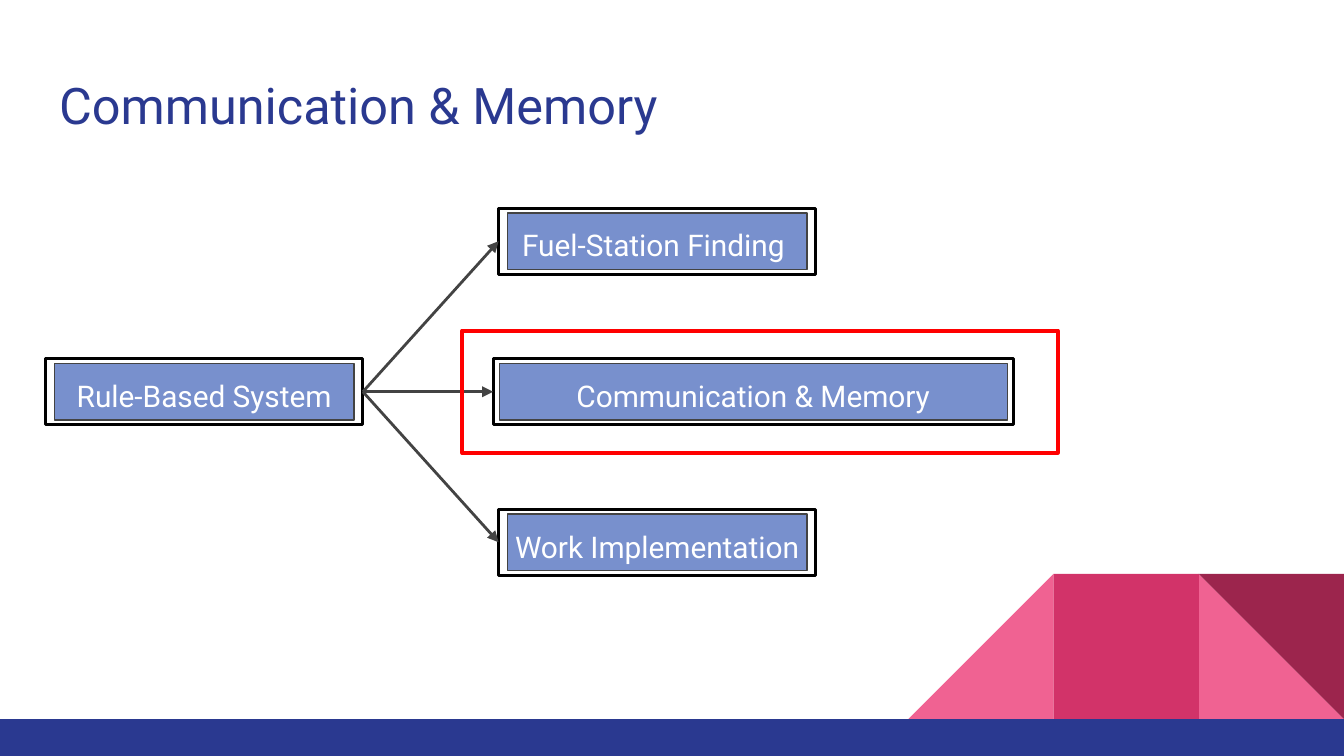
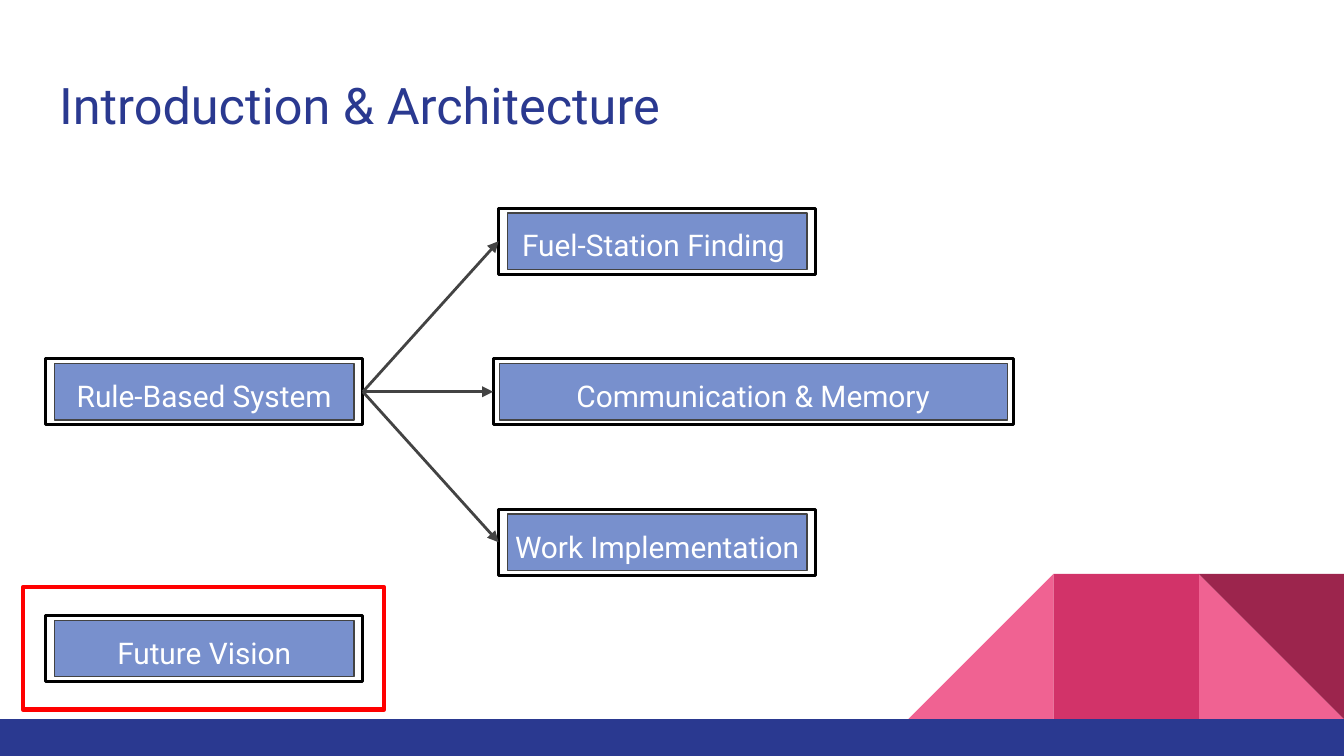
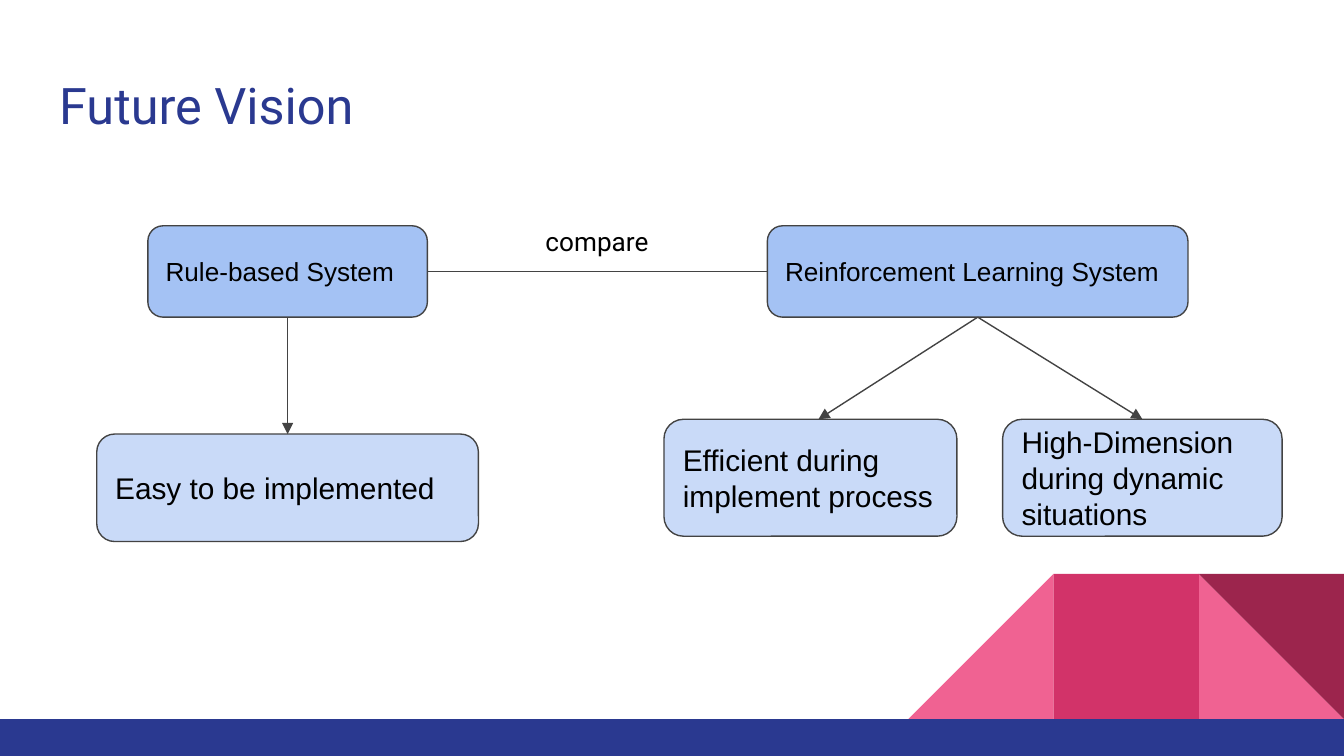
import dataclasses
import typing

import lxml.etree
import pptx
import pptx.dml.color
import pptx.enum.shapes
import pptx.enum.text
import pptx.oxml.ns
import pptx.util

Shape = pptx.enum.shapes.MSO_SHAPE
Anchor = pptx.enum.text.MSO_ANCHOR
Align = pptx.enum.text.PP_ALIGN

# Shared style; lengths are columns and rows of a square grid, 100 columns wide
COLUMNS, ROWS = 100, 56.25
CELL = 0.1
COLORS = {
    "navy": "2A3990", "pink": "F06292", "rose": "D23369", "wine": "9C254D",
    "panel": "7890CD", "system": "A4C2F4", "trait": "C9DAF8",
    "ink": "434343", "black": "000000", "white": "FFFFFF", "mark": "FF0000",
}
TOP, LEFT, BOTTOM, RIGHT = range(4)  # connection sites of a rectangle


@dataclasses.dataclass(frozen=True)
class Area:
    left: float
    top: float
    width: float
    height: float

    def inset(self, across: float, down: float) -> "Area":
        return Area(self.left + across, self.top + down,
                    self.width - 2 * across, self.height - 2 * down)


@dataclasses.dataclass(frozen=True)
class Node:
    text: str
    area: Area
    inset: float = 0.65


@dataclasses.dataclass(frozen=True)
class Card:
    text: str
    area: Area
    fill: str
    size: float


def grid(cells: float) -> pptx.util.Length:
    return pptx.util.Inches(round(cells * CELL, 4))


def place(area: Area) -> tuple:
    return grid(area.left), grid(area.top), grid(area.width), grid(area.height)


def color(name: str) -> pptx.dml.color.RGBColor:
    return pptx.dml.color.RGBColor.from_string(COLORS[name])


def write(frame, text: str, *, size: float, ink: str, font: str = "Roboto",
          align=Align.LEFT, anchor=Anchor.TOP, spacing: float = 1.0, after: float = 0) -> None:
    frame.word_wrap = True
    frame.auto_size = pptx.enum.text.MSO_AUTO_SIZE.NONE
    frame.vertical_anchor = anchor
    frame.margin_left = frame.margin_right = grid(1)
    frame.margin_top = frame.margin_bottom = grid(1)
    para = frame.paragraphs[0]
    para.alignment = align
    para.line_spacing = spacing
    para.space_after = pptx.util.Pt(after)
    span = para.add_run()
    span.text = text
    span.font.size = pptx.util.Pt(size)
    span.font.name = font
    span.font.color.rgb = color(ink)


def draw(page, kind, area: Area, *, fill: typing.Optional[str] = None,
         line: typing.Optional[str] = None, weight: float = 0.75):
    shape = page.shapes.add_shape(kind, *place(area))
    shape.shadow.inherit = False
    if fill:
        shape.fill.solid()
        shape.fill.fore_color.rgb = color(fill)
    else:
        shape.fill.background()
    if line:
        shape.line.color.rgb = color(line)
        shape.line.width = pptx.util.Pt(weight)
    else:
        shape.line.fill.background()
    return shape


def link(page, start, start_site: int, end, end_site: int, *,
         weight: float = 0.75, arrow: bool = True, tip_shift: float = 0) -> None:
    """Join two shapes; tip_shift moves the end along the target's edge."""
    line = page.shapes.add_connector(pptx.enum.shapes.MSO_CONNECTOR.STRAIGHT, 0, 0, 0, 0)
    line.begin_connect(start, start_site)
    if tip_shift:
        line.end_x = end.left + end.width // 2 + grid(tip_shift)
        line.end_y = end.top
    else:
        line.end_connect(end, end_site)
    line.line.color.rgb = color("ink")
    line.line.width = pptx.util.Pt(weight)
    if arrow:
        lxml.etree.SubElement(line.line._get_or_add_ln(), pptx.oxml.ns.qn("a:tailEnd"),
                              type="triangle")
    lxml.etree.SubElement(line.element.spPr, pptx.oxml.ns.qn("a:effectLst"))


def prepare_layout(layout, page) -> None:
    """Give the layout its title place, corner tiles and bottom band."""
    for holder in list(layout.placeholders):
        if holder.placeholder_format.type == pptx.enum.shapes.PP_PLACEHOLDER.TITLE:
            holder.left, holder.top, holder.width, holder.height = place(
                Area(3.4, 4.5, 93.2, 6.6))
        else:
            holder.element.getparent().remove(holder.element)
    tile, band_top = 10.8, 53.5
    tiles = [  # tiles from the right edge, preset, fill, flipped, rotation
        (1, Shape.RIGHT_TRIANGLE, "pink", False, 0),
        (3, Shape.RIGHT_TRIANGLE, "pink", True, 0),
        (2, Shape.RECTANGLE, "rose", False, 0),
        (1, Shape.RIGHT_TRIANGLE, "wine", False, 180),
    ]
    decor = []
    for step, kind, fill, flipped, rotation in tiles:
        area = Area(COLUMNS - step * tile, band_top - tile, tile, tile)
        shape = draw(page, kind, area, fill=fill)
        shape.rotation = rotation
        if flipped:
            shape.element.spPr.xfrm.set("flipH", "1")
        decor.append(shape)
    decor.append(draw(page, Shape.RECTANGLE,
                      Area(0, band_top, COLUMNS, ROWS - band_top), fill="navy"))
    for number, shape in enumerate(decor, start=100):
        shape.element.nvSpPr.cNvPr.set("id", str(number))
        layout.shapes.element.append(shape.element)


def add_title(page, text: str) -> None:
    write(page.shapes.title.text_frame, text, size=27, ink="navy")


def add_node(page, node: Node):
    draw(page, Shape.RECTANGLE, node.area.inset(node.inset, 0.35), fill="panel", line="ink")
    box = draw(page, Shape.RECTANGLE, node.area, line="black", weight=1.5)
    write(box.text_frame, node.text, size=16, ink="white", align=Align.CENTER,
          spacing=1.15, after=12)
    return box


def add_card(page, card: Card):
    box = draw(page, Shape.ROUNDED_RECTANGLE, card.area, fill=card.fill, line="ink")
    box.adjustments[0] = 0.167
    write(box.text_frame, card.text, size=card.size, ink="black", font="Arial",
          anchor=Anchor.MIDDLE)
    return box


def add_mark(page, node: Node, left: float, width: float) -> None:
    area = Area(left, node.area.top - 2.1, width, node.area.height + 4.2)
    draw(page, Shape.RECTANGLE, area, line="mark", weight=2.25)


# Architecture diagram: three tasks, one row pitch apart
NODE_HEIGHT, NODE_WIDTH = 4.9, 23.6
FIRST_ROW, PITCH = 15.5, 11.2


def row(index: int) -> float:
    return FIRST_ROW + index * PITCH


ROOT = Node("Rule-Based System", Area(3.4, row(1), NODE_WIDTH, NODE_HEIGHT))
FUEL = Node("Fuel-Station Finding ", Area(37.1, row(0), NODE_WIDTH, NODE_HEIGHT))
MEMORY = Node("Communication & Memory", Area(36.7, row(1), 38.7, NODE_HEIGHT), 0.45)
WORK = Node("Work Implementation", Area(37.1, row(2), NODE_WIDTH, NODE_HEIGHT))
FUTURE = Node("Future Vision", Area(3.4, 45.8, NODE_WIDTH, NODE_HEIGHT))


def add_architecture(page) -> None:
    root = add_node(page, ROOT)
    for task in (FUEL, MEMORY, WORK):
        link(page, root, RIGHT, add_node(page, task), LEFT, weight=1.5)


deck = pptx.Presentation()
deck.slide_width, deck.slide_height = grid(COLUMNS), grid(ROWS)
title_layout = deck.slide_layouts[5]

# Slide 1: the communication task is marked
page = deck.slides.add_slide(title_layout)
prepare_layout(title_layout, page)
add_title(page, "Communication & Memory")
add_architecture(page)
add_mark(page, MEMORY, 34.4, 44.3)

# Slide 2: the future vision is marked
page = deck.slides.add_slide(title_layout)
add_title(page, "Introduction & Architecture")
add_architecture(page)
add_node(page, FUTURE)
add_mark(page, FUTURE, 1.7, 26.9)

# Slide 3: two systems compared, with their traits
page = deck.slides.add_slide(title_layout)
add_title(page, "Future Vision")
rules, learning, easy, efficient, dynamic = [add_card(page, card) for card in (
    Card("Rule-based System", Area(11, 16.8, 20.8, 6.8), "system", 14),
    Card("Reinforcement Learning System", Area(57.1, 16.8, 31.3, 6.8), "system", 14),
    Card("Easy to be implemented", Area(7.2, 32.3, 28.4, 8), "trait", 16),
    Card("Efficient during implement process", Area(49.4, 31.2, 21.8, 8.7), "trait", 16),
    Card("High-Dimension during dynamic situations", Area(74.6, 31.2, 20.8, 8.7), "trait", 16),
)]
link(page, rules, RIGHT, learning, LEFT, arrow=False)
link(page, rules, BOTTOM, easy, TOP)
link(page, learning, BOTTOM, efficient, TOP, tip_shift=0.6)
link(page, learning, BOTTOM, dynamic, TOP)
caption = page.shapes.add_textbox(*place(Area(39.6, 15.8, 9.8, 4.4)))
write(caption.text_frame, "compare", size=14, ink="black")

deck.save("out.pptx")
